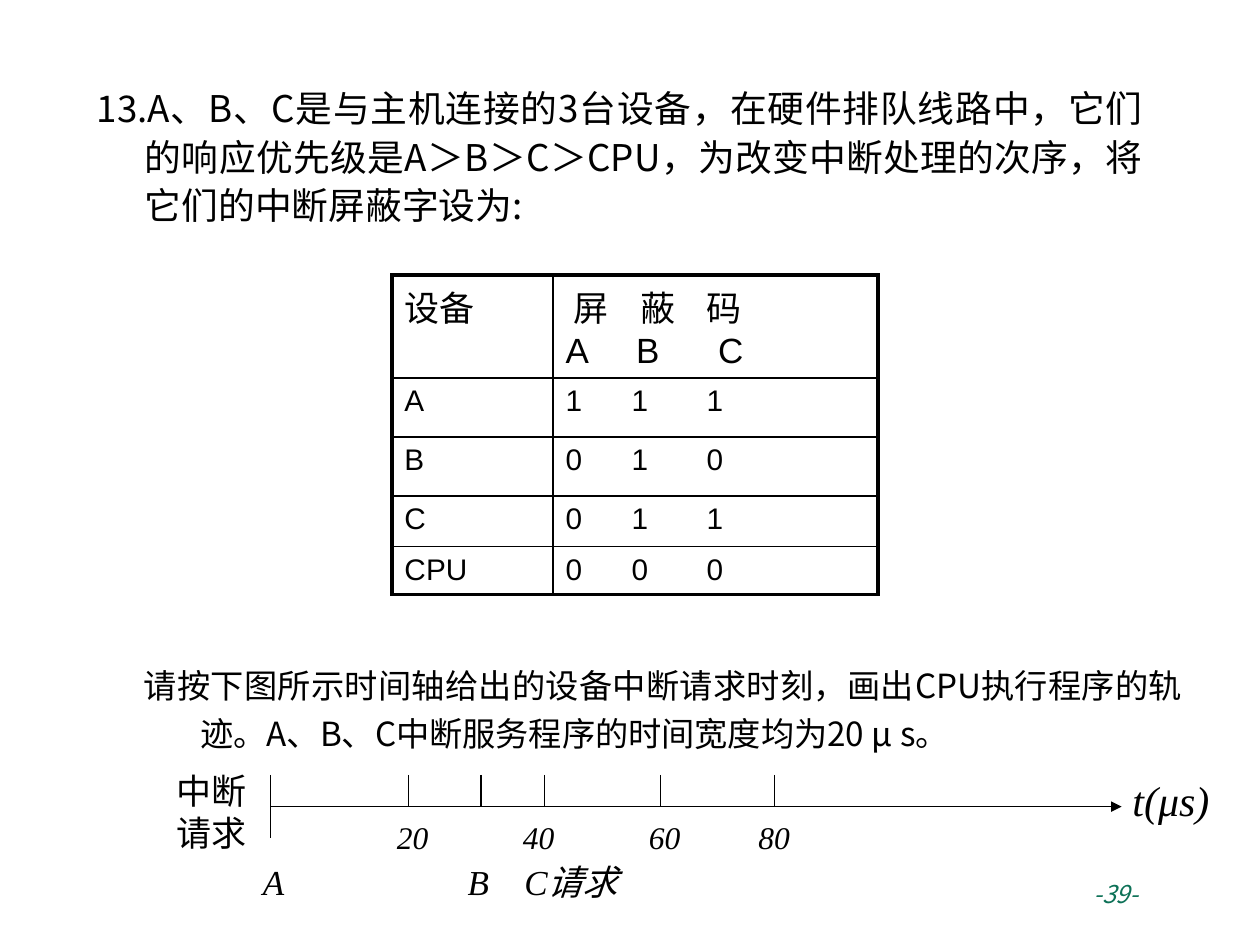
from dataclasses import dataclass
from typing import Any
from lxml.etree import SubElement as Sub
from pptx import Presentation as Deck
from pptx.dml.color import RGBColor as Rgb
from pptx.enum.shapes import MSO_CONNECTOR as Link
from pptx.enum.text import PP_ALIGN as Align
from pptx.oxml.ns import qn
from pptx.util import Cm, Pt


@dataclass(frozen=True)
class Theme:
    ink: str = "000000"
    green: str = "0D7157"
    sans: str = "Noto Sans CJK SC"
    serif: str = "Times New Roman"
    grid: str = "Arial"
    lead: float = 21
    head: float = 20
    body: float = 19
    mark: float = 18
    cell: float = 17
    page: float = 14
    unit: float = 24
    thick: float = 2.25
    thin: float = 1
    axis: float = 0.75


@dataclass(frozen=True)
class Para:
    text: str
    size: float
    face: str
    tint: str = "000000"
    slant: bool = False
    tabs: tuple[float, ...] = ()
    hang: float = 0
    lines: float = 1


@dataclass(frozen=True)
class Note:
    box: tuple[float, float, float, float]
    paras: tuple[Para, ...]


T = Theme()
TOP, AXIS, LOW = 15.62, 16.26, 16.89
START, END = 5.46, 22.61
TICKS = (8.23, 9.7, 10.97, 13.31, 15.62)
COLS = (3.25, 6.55)
ROWS = (2.08, 1.19, 1.19, 1.02, 0.97)
MASKS = (("A", "111"), ("B", "010"), ("C", "011"), ("CPU", "000"))

TEXTS = (
    Note((1.7, 1.52, 21.59, 3.63), (
        Para("13.A、B、C是与主机连接的3台设备，在硬件排队线路中，它们的响应优先级是"
             "A＞B＞C＞CPU，为改变中断处理的次序，将它们的中断屏蔽字设为:",
             T.lead, T.sans, hang=0.97, lines=1.1),)),
    Note((2.49, 13.13, 21.59, 2.21), (
        Para(" 请按下图所示时间轴给出的设备中断请求时刻，画出CPU执行程序的轨迹。"
             "A、B、C中断服务程序的时间宽度均为20 μ s。",
             T.body, T.sans, hang=1.3, lines=1.2),)),
    Note((21.69, 17.6, 2.82, 1.32), (
        Para(" -39-", T.page, T.sans, T.green, True),)),
)
LABELS = (
    Note((7.75, 16.36, 8.8, 1.02), (
        Para("20\t40\t60\t80", T.mark, T.serif, slant=True, tabs=(2.54, 5.08, 7.29)),)),
    Note((3.3, 15.39, 1.93, 1.96), tuple(
        Para(word, T.head, T.sans) for word in ("中断", "请求"))),
    Note((22.58, 15.49, 2.3, 1.27), (
        Para("t(μs)", T.unit, T.serif, slant=True),)),
    Note((5.05, 17.22, 8.41, 1.09), (
        Para("A\tB\tC请求", T.head, T.serif, slant=True, tabs=(4.13, 5.27)),)),
)


def write(frame: Any, paras: tuple[Para, ...]) -> None:
    """Fill a text frame with formatted paragraphs."""
    frame.word_wrap = True
    for i, item in enumerate(paras):
        para = frame.add_paragraph() if i else frame.paragraphs[0]
        run = para.add_run()
        run.text = item.text
        look = {"size": Pt(item.size), "name": item.face, "italic": item.slant}
        for key, value in look.items():
            setattr(run.font, key, value)
        run.font.color.rgb = Rgb.from_string(item.tint)
        Sub(run.font._element, qn("a:ea"), typeface=T.sans)
        props = para._p.get_or_add_pPr()
        if item.hang:
            form = {"alignment": Align.JUSTIFY, "line_spacing": item.lines,
                    "space_before": Pt(item.size * 0.2)}
            for key, value in form.items():
                setattr(para, key, value)
            props.set("marL", str(Cm(item.hang)))
            props.set("indent", str(-Cm(item.hang)))
        if item.tabs:
            stops = Sub(props, qn("a:tabLst"))
            for stop in item.tabs:
                Sub(stops, qn("a:tab"), pos=str(Cm(stop)), algn="l")


def place(shapes: Any, note: Note) -> None:
    """Add one text box."""
    write(shapes.add_textbox(*map(Cm, note.box)).text_frame, note.paras)


def rule(shapes: Any, x: float, y: float, right: float, low: float, tip: bool = False) -> None:
    """Draw a straight line, with an arrowhead if asked."""
    line = shapes.add_connector(Link.STRAIGHT, *map(Cm, (x, y, right, low)))
    line.line.width = Pt(T.axis)
    line.line.color.rgb = Rgb.from_string(T.ink)
    if tip:
        Sub(line.line._get_or_add_ln(), qn("a:tailEnd"), type="triangle")
    Sub(line._element.spPr, qn("a:effectLst"))


def edge(cell: Any, sides: dict[str, bool]) -> None:
    """Set cell borders, thick on the outer sides, and clear the fill."""
    props = cell._tc.get_or_add_tcPr()
    for side, outer in sides.items():
        width = Pt(T.thick if outer else T.thin)
        line = Sub(props, qn(f"a:ln{side}"), w=str(width))
        Sub(Sub(line, qn("a:solidFill")), qn("a:srgbClr"), val=T.ink)
    cell.fill.background()


def chart(shapes: Any) -> None:
    """Draw the table of mask words."""
    grid = shapes.add_table(len(ROWS), len(COLS), *map(Cm, (7.9, 5.54, sum(COLS), sum(ROWS)))).table
    for flag in ("first_row", "horz_banding"):
        setattr(grid, flag, False)
    for col, width in zip(grid.columns, COLS):
        col.width = Cm(width)
    for row, height in zip(grid.rows, ROWS):
        row.height = Cm(height)
    cells = [((Para("设备", T.head, T.grid),),
              (Para(" 屏\t蔽\t码", T.head, T.grid, tabs=(1.5, 2.84)),
               Para("A\tB\tC", T.head, T.grid, tabs=(1.42, 3.07))))]
    cells += [((Para(name, T.cell, T.grid),),
               (Para("\t".join(bits), T.cell, T.grid, tabs=(1.33, 2.84)),))
              for name, bits in MASKS]
    for r, row in enumerate(cells):
        for c, paras in enumerate(row):
            cell = grid.cell(r, c)
            write(cell.text_frame, paras)
            edge(cell, {"L": c == 0, "R": c == len(COLS) - 1,
                        "T": r == 0, "B": r == len(ROWS) - 1})


def main() -> None:
    """Build and save the slide."""
    deck = Deck()
    deck.slide_width, deck.slide_height = Cm(25.4), Cm(19.05)
    shapes = deck.slides.add_slide(deck.slide_layouts[6]).shapes
    chart(shapes)
    for note in TEXTS:
        place(shapes, note)
    time = shapes.add_group_shape().shapes
    rule(time, START, AXIS, END, AXIS, True)
    rule(time, START, TOP, START, LOW)
    for x in TICKS:
        rule(time, x, TOP, x, AXIS)
    for note in LABELS:
        place(time, note)
    deck.save("out.pptx")


if __name__ == "__main__":
    main()
